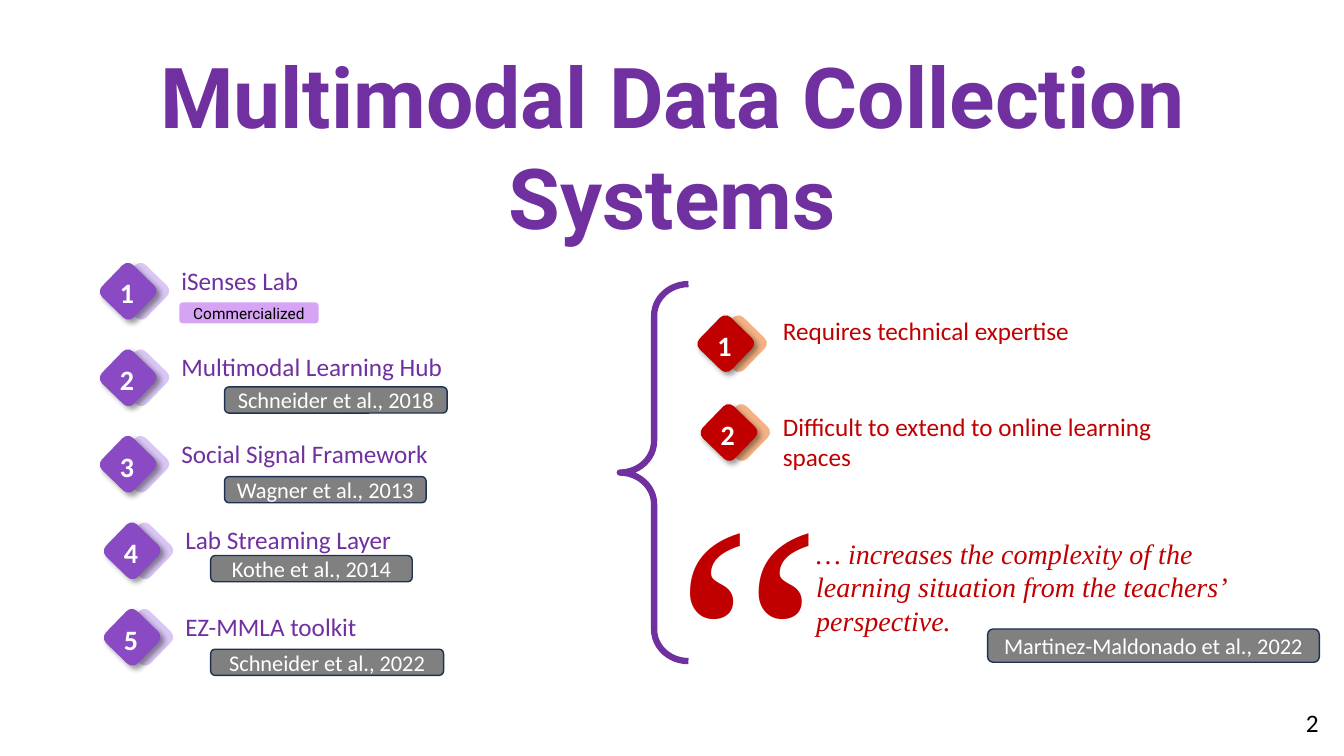
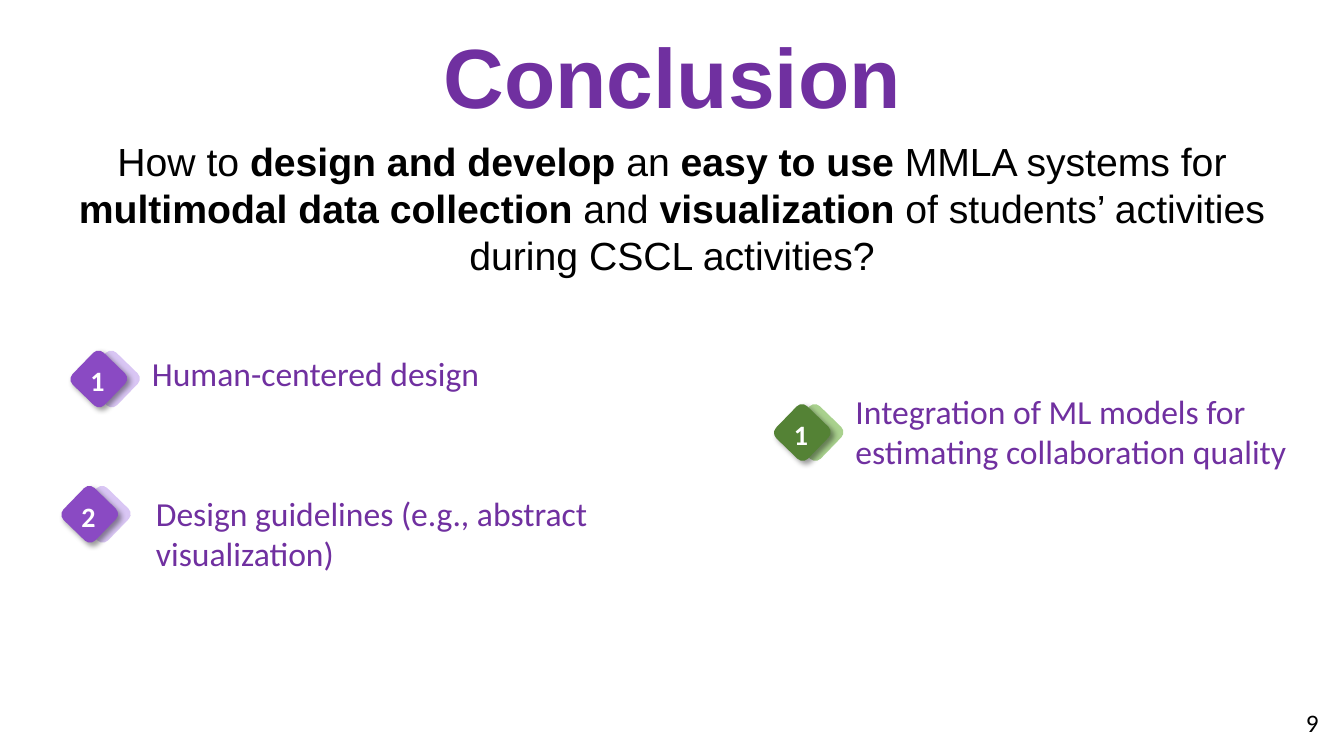
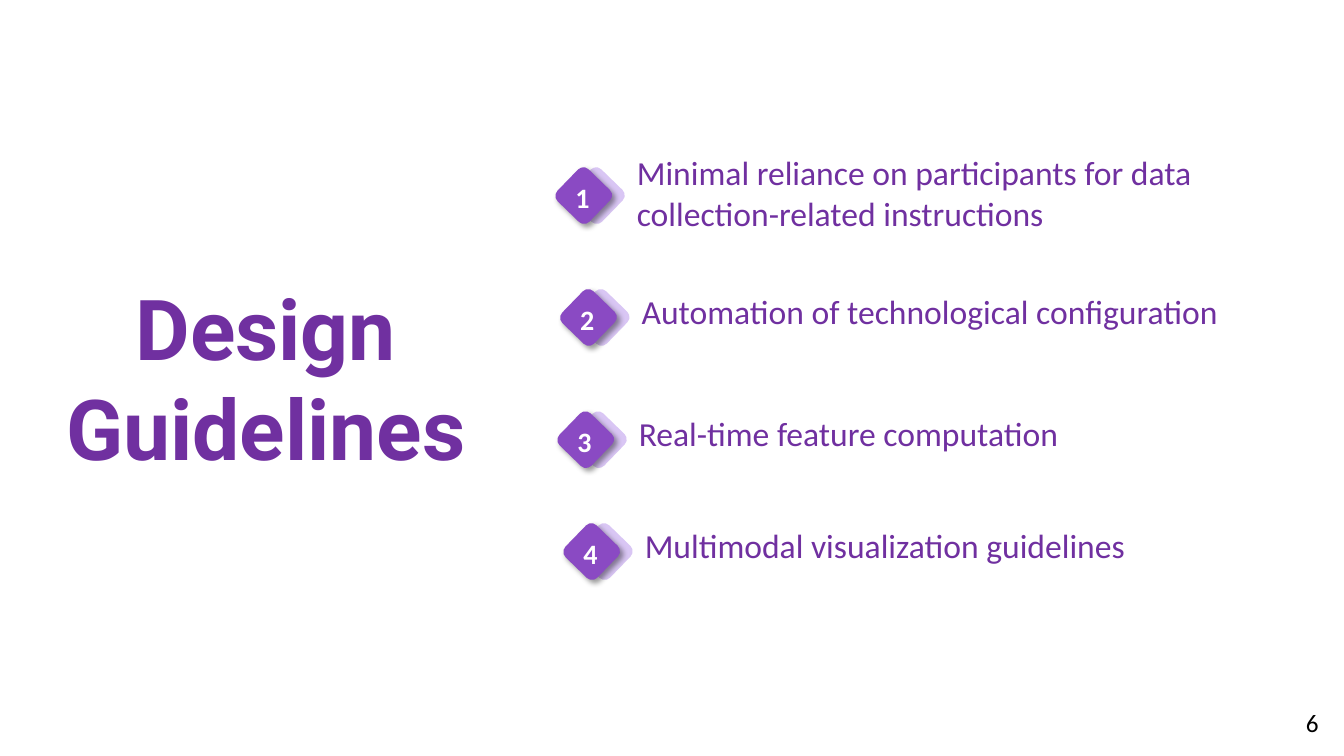
from dataclasses import dataclass

from lxml.etree import SubElement as Sub
from pptx import Presentation
from pptx.dml.color import RGBColor as Rgb
from pptx.enum.shapes import MSO_SHAPE as Geo
from pptx.enum.text import MSO_ANCHOR as Anchor, MSO_AUTO_SIZE as Fit, PP_ALIGN as Align
from pptx.oxml.ns import qn
from pptx.util import Cm, Pt


@dataclass(frozen=True)
class Theme:
    # Colours
    main: str = "7030A0"
    red: str = "C00000"
    ink: str = "000000"
    white: str = "FFFFFF"
    lilac: str = "D7A3F4"
    gray: str = "808080"
    navy: str = "1E3256"
    # Marker colours: front, back
    violet: tuple = ("8A4AC3", "D9C6F4")
    warm: tuple = ("C00000", "F4B183")
    green: tuple = ("548235", "A9D18E")
    # Fonts
    head: str = "Roboto"
    sans: str = "Arial"
    body: str = "Calibri"
    serif: str = "Times New Roman"
    # Type sizes
    title: int = 60
    ask: int = 28
    large: int = 24
    num: int = 20
    text: int = 18
    cite: int = 16
    tag: int = 11
    mark: int = 239


class Deck:
    def __init__(self, theme):
        self.theme = theme
        self.prs = Presentation()
        self.prs.slide_width, self.prs.slide_height = Cm(33.87), Cm(19.05)
        self.slide = None

    def page(self, title, box, num, font=None):
        """Start a slide with its title and page number."""
        t = self.theme
        self.slide = self.prs.slides.add_slide(self.prs.slide_layouts[5])
        head = self.slide.shapes.title
        head.left, head.top, head.width, head.height = map(Cm, box)
        self.put(head.text_frame, title, t.main, Align.CENTER,
                 size=Pt(t.title), name=font or t.head, bold=True)
        self.text(num, (28.98, 17.7, 4.5, 1.02), t.ink, Align.RIGHT)

    def put(self, frame, text, color, align=Align.LEFT, anchor=Anchor.TOP, **form):
        """Fill a frame; a list of strings alternates regular and bold."""
        look = {"size": Pt(self.theme.text), "name": self.theme.body, **form}
        for key, val in {"word_wrap": True, "auto_size": Fit.NONE,
                         "vertical_anchor": anchor}.items():
            setattr(frame, key, val)
        para = frame.paragraphs[0]
        para.alignment = align
        parts = [text] if isinstance(text, str) else text
        for i, part in enumerate(parts):
            run = para.add_run()
            run.text = part
            for key, val in {"bold": i % 2 == 1, **look}.items():
                setattr(run.font, key, val)
            run.font.color.rgb = Rgb.from_string(color)

    def text(self, text, box, color, align=Align.LEFT, **form):
        area = self.slide.shapes.add_textbox(*map(Cm, box))
        self.put(area.text_frame, text, color, align, **form)

    def shape(self, kind, box, fill=None, line=None, width=1, home=None):
        item = (home or self.slide).shapes.add_shape(kind, *map(Cm, box))
        item.shadow.inherit = False
        if fill:
            item.fill.solid()
            item.fill.fore_color.rgb = Rgb.from_string(fill)
        else:
            item.fill.background()
        if line:
            item.line.color.rgb = Rgb.from_string(line)
            item.line.width = Pt(width)
        else:
            item.line.fill.background()
        return item

    def shade(self, item):
        """Give a shape a soft shadow to the lower right."""
        effect = item._element.spPr.find(qn("a:effectLst"))
        drop = Sub(effect, qn("a:outerShdw"), blurRad=str(Pt(4)), dist=str(Pt(3)),
                   dir="2700000", algn="tl", rotWithShape="0")
        tint = Sub(drop, qn("a:srgbClr"), val=self.theme.ink)
        Sub(tint, qn("a:alpha"), val="40000")

    def marker(self, num, x, y, tone):
        """Two tilted squares with a number on the front one."""
        front, back = tone
        pair = self.slide.shapes.add_group_shape()
        for shift, fill in ((0.32, back), (0, front)):
            tile = self.shape(Geo.ROUNDED_RECTANGLE, (x + shift, y, 1.12, 1.12),
                              fill, home=pair)
            tile.rotation = 44.1
        self.shade(tile)
        self.text(str(num), (x + 0.1, y + 0.05, 0.94, 1.12), self.theme.white,
                  size=Pt(self.theme.num), bold=True)

    def item(self, num, x, y, text, w, h, dx=1.65, dy=-0.23,
             tone=None, color=None, size=None):
        """A numbered marker and its label."""
        t = self.theme
        self.marker(num, x, y, tone or t.violet)
        self.text(text, (x + dx, y + dy, w, h), color or t.main,
                  size=Pt(size or t.large))

    def tag(self, text, box, fill, color, line=None, **form):
        plate = self.shape(Geo.ROUNDED_RECTANGLE, box, fill, line)
        frame = plate.text_frame
        for side in ("left", "right", "top", "bottom"):
            setattr(frame, "margin_" + side, 0)
        self.put(frame, text, color, Align.CENTER, Anchor.MIDDLE, **form)

    def cite(self, text, x, y, w, h=0.66):
        t = self.theme
        self.tag(text, (x, y, w, h), t.gray, t.white, t.navy, size=Pt(t.cite))

    def brace(self, box):
        curve = self.shape(Geo.LEFT_BRACE, box, line=self.theme.main, width=4.5)
        curve.adjustments[0], curve.adjustments[1] = 0.46, 0.5


def systems(deck):
    t = deck.theme
    deck.page("Multimodal Data Collection Systems", (1.17, 0.99, 31.55, 5.38), "2")

    # Existing systems
    tools = [("iSenses Lab", 2.67), ("Multimodal Learning Hub", 2.67),
             ("Social Signal Framework", 2.67), ("Lab Streaming Layer", 2.77),
             ("EZ-MMLA toolkit", 2.77)]
    for i, (name, x) in enumerate(tools):
        deck.item(i + 1, x, 6.78 + 2.18 * i, name, 7.95, 1.55, size=t.text)
    deck.tag("Commercialized", (4.52, 7.62, 3.51, 0.53), t.lilac, t.ink,
             size=Pt(t.tag), name=t.head)
    for ref in [("Schneider et al., 2018", 5.66, 9.75, 5.61),
                ("Wagner et al., 2013", 5.66, 12.01, 5.08),
                ("Kothe et al., 2014", 5.31, 14, 5.08),
                ("Schneider et al., 2022", 5.31, 16.36, 5.87)]:
        deck.cite(*ref)

    # Shared limits
    deck.brace((15.62, 7.16, 1.73, 9.5))
    limits = [(17.73, 8.1, "Requires technical expertise", 9.98, 1.02, 1.75, -0.28),
              (17.81, 10.34, "Difficult to extend to online learning spaces",
               9.98, 1.8, 1.67, -0.1)]
    for num, limit in enumerate(limits, 1):
        deck.item(num, *limit, tone=t.warm, color=t.red, size=t.text)

    # Quote
    deck.text("“", (16.74, 10.52, 2.03, 10.46), t.red,
              size=Pt(t.mark), name=t.serif)
    deck.text("… increases the complexity of the learning situation from the "
              "teachers’ perspective.", (20.32, 13.39, 11.02, 2.82), t.red,
              size=Pt(t.num), name=t.serif, italic=True)
    deck.cite("Martinez-Maldonado et al., 2022", 24.89, 15.85, 8.36, 0.84)


def closing(deck):
    t = deck.theme
    deck.page("Conclusion", (9.3, 0.48, 15.29, 2.82), "9", t.sans)

    # Research question
    deck.text(["How to ", "design and develop ", "an ", "easy to use",
               " MMLA systems for ", "multimodal data collection ", "and ",
               "visualization", " of students’ activities during CSCL activities?"],
              (0.36, 3.33, 33.15, 5.05), t.ink, Align.CENTER,
              size=Pt(t.ask), name=t.sans)

    # Findings and next step
    deck.item(1, 1.93, 8.99, "Human-centered design", 14.48, 1.27)
    deck.item(2, 1.7, 12.4, "Design guidelines (e.g., abstract visualization)",
              13.26, 2.31, dx=1.98, dy=-0.1)
    deck.item(1, 19.66, 10.34,
              "Integration of ML models for estimating collaboration quality",
              12.4, 2.31, dy=-0.61, tone=t.green)


def guides(deck):
    deck.page("Design Guidelines", (0.25, 6.83, 12.9, 5.38), "6")

    # Guidelines
    rules = [(14.15, 4.37, "Minimal reliance on participants for data "
              "collection-related instructions", 15.29, 3.07, 1.65, -0.66),
             (14.27, 7.44, "Automation of technological configuration", 15.29, 1.96),
             (14.2, 10.52, "Real-time feature computation", 15.29, 1.96),
             (14.35, 13.34, "Multimodal visualization guidelines", 15.29, 1.96)]
    for num, rule in enumerate(rules, 1):
        deck.item(num, *rule)


def main():
    deck = Deck(Theme())
    for build in (systems, closing, guides):
        build(deck)
    deck.prs.save("out.pptx")


if __name__ == "__main__":
    main()
